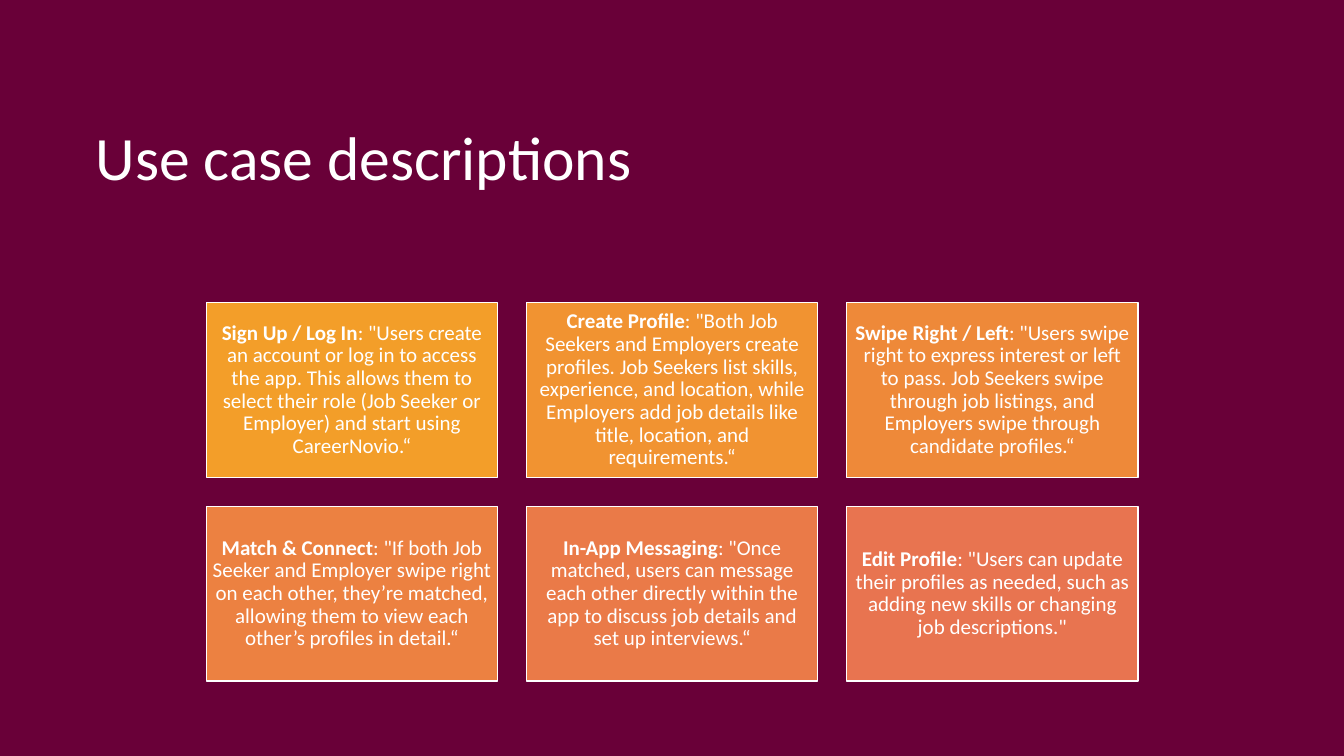
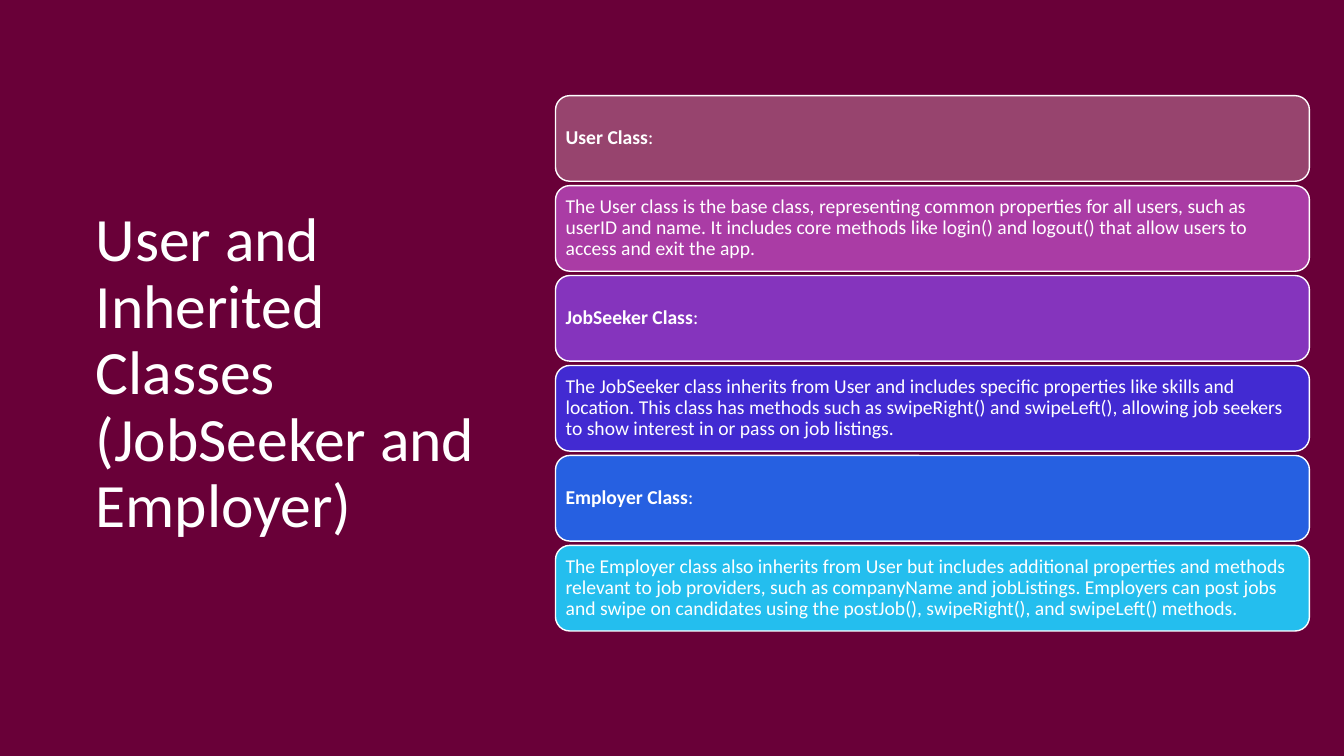
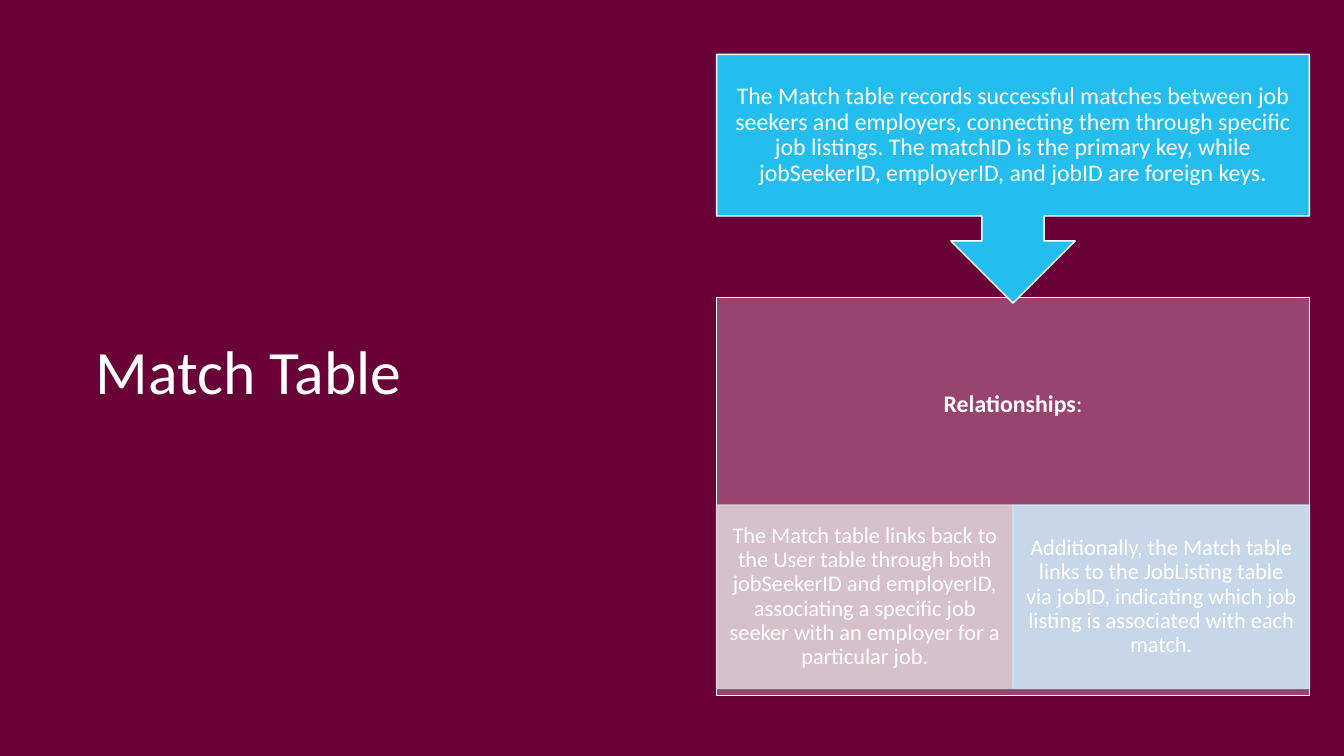
from collections import namedtuple

from lxml.etree import SubElement
from pptx import Presentation
from pptx.dml.color import RGBColor
from pptx.enum.shapes import MSO_SHAPE as Preset
from pptx.enum.text import MSO_ANCHOR as Anchor, PP_ALIGN as Align
from pptx.oxml.ns import qn
from pptx.util import Cm, Pt

Box = namedtuple("Box", "left top width height")

FONT = "Calibri"
COLORS = {
    "base": "420023",
    "veil": "6E003B",
    "white": "FFFFFF",
    "mauve": "97446E",
    "magenta": "AA3CA5",
    "violet": "8534BD",
    "indigo": "422AD2",
    "blue": "2660E1",
    "cyan": "24BEEE",
    "pale_mauve": "DDCFD5",
    "pale_blue": "CDE8F8",
    "amber_1": "F39E29",
    "amber_2": "F19331",
    "amber_3": "EE8939",
    "coral_1": "EC8141",
    "coral_2": "EA7A48",
    "coral_3": "E87450",
}
SLIDE = Box(0, 0, 33.87, 19.05)
MARGIN_LEFT, MARGIN_TOP = 2.16, 1.37

USE_CASES = [
    ("amber_1", "Sign Up / Log In", ': "Users create an account or log in to access the app. '
     "This allows them to select their role (Job Seeker or Employer) and start using CareerNovio.“"),
    ("amber_2", "Create Profile", ': "Both Job Seekers and Employers create profiles. '
     "Job Seekers list skills, experience, and location, while Employers add job details "
     "like title, location, and requirements.“"),
    ("amber_3", "Swipe Right / Left", ': "Users swipe right to express interest or left to pass. '
     "Job Seekers swipe through job listings, and Employers swipe through candidate profiles.“"),
    ("coral_1", "Match & Connect", ': "If both Job Seeker and Employer swipe right on each other, '
     "they’re matched, allowing them to view each other’s profiles in detail.“"),
    ("coral_2", "In-App Messaging", ': "Once matched, users can message each other directly '
     "within the app to discuss job details and set up interviews.“"),
    ("coral_3", "Edit Profile", ': "Users can update their profiles as needed, '
     'such as adding new skills or changing job descriptions."'),
]
CLASSES = [
    ("mauve", "User Class", ":"),
    ("magenta", "", "The User class is the base class, representing common properties for all users, "
     "such as userID and name. It includes core methods like login() and logout() "
     "that allow users to access and exit the app."),
    ("violet", "JobSeeker Class", ":"),
    ("indigo", "", "The JobSeeker class inherits from User and includes specific properties "
     "like skills and location. This class has methods such as swipeRight() and swipeLeft(), "
     "allowing job seekers to show interest in or pass on job listings."),
    ("blue", "Employer Class", ":"),
    ("cyan", "", "The Employer class also inherits from User but includes additional properties "
     "and methods relevant to job providers, such as companyName and jobListings. "
     "Employers can post jobs and swipe on candidates using the postJob(), swipeRight(), "
     "and swipeLeft() methods."),
]
MATCH_SUMMARY = (
    "The Match table records successful matches between job seekers and employers, "
    "connecting them through specific job listings. The matchID is the primary key, "
    "while jobSeekerID, employerID, and jobID are foreign keys."
)
LINKS = [
    ("pale_mauve", "The Match table links back to the User table through both jobSeekerID "
     "and employerID, associating a specific job seeker with an employer for a particular job."),
    ("pale_blue", "Additionally, the Match table links to the JobListing table via jobID, "
     "indicating which job listing is associated with each match."),
]


def rgb(name):
    return RGBColor.from_string(COLORS[name])


def add_block(page, preset, box, fill, line="white", opacity=100):
    shape = page.shapes.add_shape(preset, *map(Cm, box))
    shape.shadow.inherit = False
    shape.fill.solid()
    shape.fill.fore_color.rgb = rgb(fill)
    if line:
        shape.line.color.rgb = rgb(line)
        shape.line.width = Pt(1)
    else:
        shape.line.fill.background()
    if opacity < 100:
        for color in list(shape.element.spPr.iter(qn("a:srgbClr"))):
            SubElement(color, qn("a:alpha"), val=str(opacity * 1000))
    return shape


def write(shape, body, size, heading="", align=Align.LEFT, insets=(0.25, 0.13, 0.25, 0.13)):
    frame = shape.text_frame
    frame.word_wrap = True
    frame.vertical_anchor = Anchor.MIDDLE
    frame.margin_left, frame.margin_top, frame.margin_right, frame.margin_bottom = map(Cm, insets)
    para = frame.paragraphs[0]
    para.text = heading or body
    if heading:
        para.add_run().text = body
        para.runs[0].font.bold = True
    para.alignment = align
    para.line_spacing = 0.9
    for span in para.runs:
        span.font.name = FONT
        span.font.size = Pt(size)
        span.font.color.rgb = rgb("white")


def add_page(deck, title, title_width, title_height):
    page = deck.slides.add_slide(deck.slide_layouts[6])
    add_block(page, Preset.RECTANGLE, SLIDE, "veil", line=None, opacity=90)
    title_box = Box(MARGIN_LEFT, MARGIN_TOP, title_width, title_height)
    write(page.shapes.add_textbox(*map(Cm, title_box)), title, 44)
    return page


def add_card_grid(page, box, columns=3, rows=2, gap=0.73):
    width = (box.width - gap * (columns - 1)) / columns
    height = (box.height - gap * (rows - 1)) / rows
    for index, (fill, heading, body) in enumerate(USE_CASES):
        row, column = divmod(index, columns)
        card_box = Box(box.left + column * (width + gap), box.top + row * (height + gap), width, height)
        card = add_block(page, Preset.RECTANGLE, card_box, fill)
        write(card, body, 15, heading, Align.CENTER, (0.15,) * 4)


def add_class_stack(page, box, gap=0.11):
    height = (box.height - gap * (len(CLASSES) - 1)) / len(CLASSES)
    for index, (fill, heading, body) in enumerate(CLASSES):
        bar_box = Box(box.left, box.top + index * (height + gap), box.width, height)
        bar = add_block(page, Preset.ROUNDED_RECTANGLE, bar_box, fill)
        write(bar, body, 14, heading, insets=(0.15,) * 4)


def add_match_flow(page, box):
    panel_height, link_height, link_offset = 10.03, 4.62, 11.36
    panel_top = box.top + box.height - panel_height
    panel = add_block(page, Preset.RECTANGLE,
                      Box(box.left, panel_top, box.width, panel_height), "mauve")
    write(panel, ":", 17, "Relationships", Align.CENTER, (0.33, 0.33, 0.33, 4.95))

    link_width = box.width / len(LINKS)
    for index, (fill, body) in enumerate(LINKS):
        link_box = Box(box.left + index * link_width, box.top + link_offset, link_width, link_height)
        link = add_block(page, Preset.RECTANGLE, link_box, fill, line=fill, opacity=90)
        write(link, body, 16, align=Align.CENTER, insets=(0.3, 0.05, 0.3, 0.05))

    callout = add_block(page, Preset.DOWN_ARROW_CALLOUT, box._replace(height=6.27), "cyan")
    write(callout, MATCH_SUMMARY, 17, align=Align.CENTER, insets=(0.33,) * 4)


def main():
    deck = Presentation()
    deck.slide_width, deck.slide_height = Cm(SLIDE.width), Cm(SLIDE.height)
    backdrop = deck.slide_master.background.fill
    backdrop.solid()
    backdrop.fore_color.rgb = rgb("base")

    page = add_page(deck, "Use case descriptions", 30.38, 5.33)
    add_card_grid(page, Box(5.2, 7.63, 23.48, 9.53))

    page = add_page(deck, "User and Inherited Classes (JobSeeker and Employer)", 10.97, 16.15)
    add_class_stack(page, Box(14, 2.41, 19, 13.49))

    page = add_page(deck, "Match Table", 14.07, 16.15)
    add_match_flow(page, Box(18.06, MARGIN_TOP, 14.94, 16.15))

    deck.save("out.pptx")


if __name__ == "__main__":
    main()
